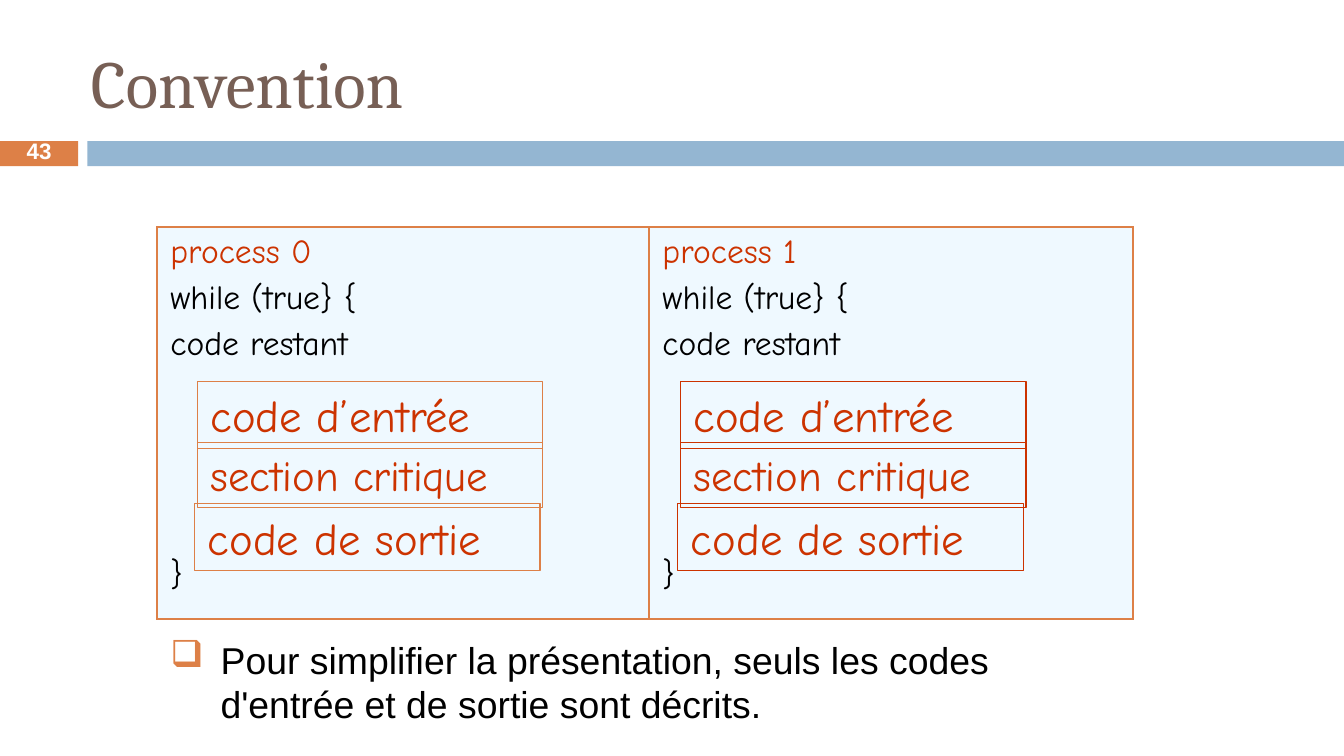
from dataclasses import dataclass

from lxml import etree
from pptx import Presentation
from pptx.dml.color import RGBColor
from pptx.enum.shapes import MSO_SHAPE
from pptx.enum.text import MSO_ANCHOR, PP_ALIGN
from pptx.oxml.ns import qn
from pptx.util import Cm, Pt

RECTANGLE = MSO_SHAPE.RECTANGLE
TOP, MIDDLE = MSO_ANCHOR.TOP, MSO_ANCHOR.MIDDLE
LEFT, CENTER = PP_ALIGN.LEFT, PP_ALIGN.CENTER

ORANGE, BLUE, BROWN, RED = "DD8047", "94B6D2", "775F55", "CC3300"
PALE, BLACK, WHITE = "EFF9FF", "000000", "FFFFFF"
CODE_FONT = "Comic Neue"


@dataclass(frozen=True)
class Box:
    """Position and size in centimetres."""
    left: float
    top: float
    width: float
    height: float

    def lengths(self) -> tuple:
        return Cm(self.left), Cm(self.top), Cm(self.width), Cm(self.height)


@dataclass(frozen=True)
class Style:
    font: str
    size: float
    color: str
    bold: bool = False


@dataclass(frozen=True)
class Section:
    text: str
    shift: float
    top: float
    height: float
    size: float


@dataclass(frozen=True)
class Process:
    title: str
    column_width: float
    sections_left: float
    line_color: str


@dataclass(frozen=True)
class CodeLine:
    text: str
    space_before: float


SECTIONS = (
    Section("code d’entrée", 0, 7.21, 1.27, 24),
    Section("section critique", 0, 8.36, 1.24, 23),
    Section("code de sortie", -0.05, 9.52, 1.27, 24),
)
PROCESSES = (
    Process("process 0", 9.3, 3.73, ORANGE),
    Process("process 1", 9.14, 12.86, RED),
)
# The closing brace leaves room for the framed sections.
CODE_LINES = (
    CodeLine("while (true} {", 4),
    CodeLine("code restant", 4),
    CodeLine("}", 102.5),
)


def rgb(value: str) -> RGBColor:
    return RGBColor.from_string(value)


def add_run(paragraph, text: str, style: Style) -> None:
    run = paragraph.add_run()
    run.text = text
    run.font.name = style.font
    run.font.size = Pt(style.size)
    run.font.bold = style.bold
    run.font.color.rgb = rgb(style.color)


def write(shape, text: str, style: Style, anchor=TOP, align=LEFT):
    frame = shape.text_frame
    frame.word_wrap = True
    frame.vertical_anchor = anchor
    paragraph = frame.paragraphs[0]
    paragraph.alignment = align
    add_run(paragraph, text, style)
    return paragraph


def add_text(slide, box: Box, text: str, style: Style, anchor=TOP, align=LEFT):
    return write(slide.shapes.add_textbox(*box.lengths()), text, style, anchor, align)


def add_bar(slide, box: Box, color: str) -> None:
    bar = slide.shapes.add_shape(RECTANGLE, *box.lengths())
    bar.shadow.inherit = False
    bar.fill.solid()
    bar.fill.fore_color.rgb = rgb(color)
    bar.line.fill.background()


def add_section(slide, section: Section, process: Process) -> None:
    box = Box(process.sections_left + section.shift, section.top, 6.53, section.height)
    frame = slide.shapes.add_shape(RECTANGLE, *box.lengths())
    frame.shadow.inherit = False
    frame.fill.background()
    frame.line.color.rgb = rgb(process.line_color)
    frame.line.width = Pt(0.75)
    write(frame, section.text, Style(CODE_FONT, section.size, RED))


def add_borders(cell, color: str, width: float) -> None:
    properties = cell._tc.get_or_add_tcPr()
    for side in ("lnL", "lnR", "lnT", "lnB"):
        line = etree.SubElement(properties, qn(f"a:{side}"), w=str(Pt(width)))
        fill = etree.SubElement(line, qn("a:solidFill"))
        etree.SubElement(fill, qn("a:srgbClr"), val=color)


def fill_process_cell(cell, process: Process) -> None:
    cell.margin_left = cell.margin_right = Cm(0.25)
    cell.margin_top = cell.margin_bottom = Cm(0.11)
    add_borders(cell, ORANGE, 1)
    cell.fill.solid()
    cell.fill.fore_color.rgb = rgb(PALE)
    frame = cell.text_frame
    add_run(frame.paragraphs[0], process.title, Style(CODE_FONT, 18, RED))
    for line in CODE_LINES:
        paragraph = frame.add_paragraph()
        paragraph.space_before = Pt(line.space_before)
        add_run(paragraph, line.text, Style(CODE_FONT, 18, BLACK))


def add_process_table(slide) -> None:
    width = sum(process.column_width for process in PROCESSES)
    box = Box(2.97, 4.29, width, 7.41)
    table = slide.shapes.add_table(1, len(PROCESSES), *box.lengths()).table
    table.first_row = table.horz_banding = False
    for index, process in enumerate(PROCESSES):
        table.columns[index].width = Cm(process.column_width)
        fill_process_cell(table.cell(0, index), process)


def add_bullet(paragraph, mark: str, color: str, indent: float) -> None:
    properties = paragraph._p.get_or_add_pPr()
    properties.set("marL", str(Cm(indent)))
    properties.set("indent", str(-Cm(indent)))
    bullet_color = etree.SubElement(properties, qn("a:buClr"))
    etree.SubElement(bullet_color, qn("a:srgbClr"), val=color)
    etree.SubElement(properties, qn("a:buChar"), char=mark)


def main() -> None:
    presentation = Presentation()
    presentation.slide_width, presentation.slide_height = Cm(25.4), Cm(14.29)
    slide = presentation.slides.add_slide(presentation.slide_layouts[6])

    add_bar(slide, Box(0, 2.67, 1.48, 0.47), ORANGE)
    add_bar(slide, Box(1.65, 2.67, 23.75, 0.47), BLUE)
    add_text(slide, Box(1.47, 0.38, 21.59, 2.34), "Convention",
             Style("Cambria", 36, BROWN), MIDDLE)
    page_number = add_text(slide, Box(0, 2.64, 1.48, 0.51), "43",
                           Style("Arial", 12, WHITE, True), MIDDLE, CENTER)
    page_number.line_spacing = 0.8

    add_process_table(slide)
    for process in PROCESSES:
        for section in SECTIONS:
            add_section(slide, section, process)

    remark = add_text(
        slide, Box(2.97, 11.91, 18.42, 1.96),
        "Pour simplifier la présentation, seuls les codes d'entrée et de sortie sont décrits.",
        Style("Arial", 20, BLACK))
    add_bullet(remark, "❑", ORANGE, 0.95)

    presentation.save("out.pptx")


if __name__ == "__main__":
    main()
